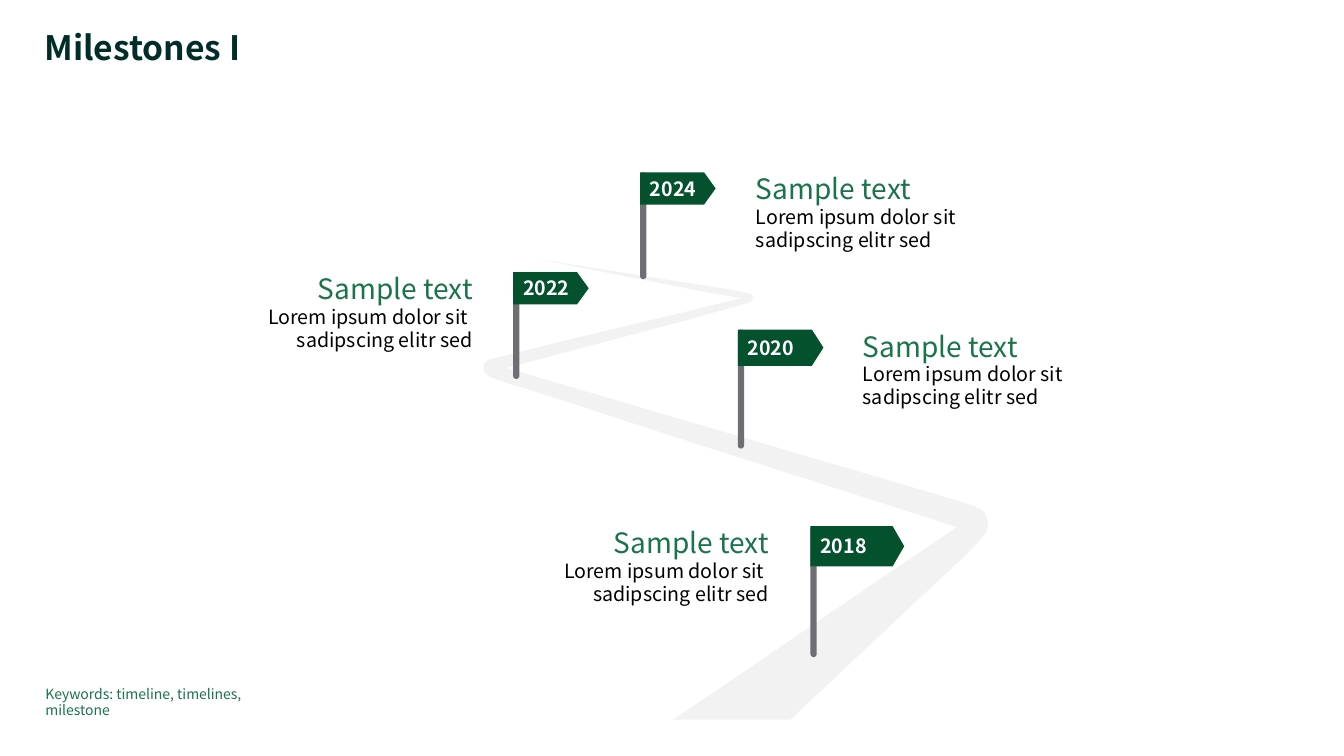
from pptx import Presentation
from pptx.dml.color import RGBColor
from pptx.enum.shapes import MSO_SHAPE
from pptx.enum.text import MSO_ANCHOR, PP_ALIGN
from pptx.util import Pt

FONT = "Noto Sans CJK JP"
INK = RGBColor(0x00, 0x2D, 0x28)
GREEN = RGBColor(0x1A, 0x74, 0x49)
FLAG = RGBColor(0x03, 0x52, 0x2D)
POLE = RGBColor(0x6E, 0x6F, 0x73)
ROAD = RGBColor(0xF2, 0xF2, 0xF2)
BLACK = RGBColor(0x00, 0x00, 0x00)
WHITE = RGBColor(0xFF, 0xFF, 0xFF)

LINE_PITCH = 1.18
POLE_WIDTH = 4.5
FLAG_TIP = 8.3
CAPTION_SIZE = (159, 58.3)

ROAD_OUTLINE = [
    (360.6, 187.2), (358.5, 181.5), (355.6, 178.6), (350.5, 176.4),
    (327.5, 169.2), (138.8, 113.8), (43.1, 85.7), (17.2, 77.8),
    (60.4, 66.3), (147.5, 43.2), (190.7, 31), (192.1, 29.6),
    (192.8, 27.4), (192.1, 25.2), (189.2, 24.5), (186.4, 23.8),
    (175.6, 21.6), (156.8, 18.8), (38.8, 0), (156.1, 23.1),
    (184.2, 28.1), (146, 37.5), (58.2, 58.4), (12.1, 69.9),
    (6.4, 71.3), (3.5, 72), (2, 73.5), (0.6, 75.6), (0.6, 79.2),
    (2, 82.1), (4.2, 83.6), (8.5, 85.7), (17.2, 88.6), (40.9, 95.8),
    (136, 126.8), (323.2, 186.5), (338.3, 191.6), (136, 329.1),
    (219.5, 329.1), (253.3, 297.4), (313.8, 240.5), (346.9, 209.6),
    (354.8, 200.9), (359.2, 195.9), (360.6, 190.8),
]

MILESTONES = [
    ("2020", (527, 235.4, 61.2, 85), 25.9, 616.3, PP_ALIGN.LEFT),
    ("2024", (457.2, 123.1, 54, 76.3), 23, 540, PP_ALIGN.LEFT),
    ("2022", (366.5, 194.4, 54, 76.3), 23, 178.6, PP_ALIGN.RIGHT),
    ("2018", (578.9, 375.8, 67, 93.6), 28.8, 390.2, PP_ALIGN.RIGHT),
]


def style_fill(sp, color):
    """Give a shape a plain fill without line or shadow."""
    sp.shadow.inherit = False
    sp.fill.solid()
    sp.fill.fore_color.rgb = color
    sp.line.fill.background()


def write_lines(p, lines, size, color, bold=False, align=PP_ALIGN.LEFT):
    """Write lines of equally styled text into one paragraph."""
    p.alignment = align
    p.line_spacing = Pt(round(size * LINE_PITCH, 1))
    for i, line in enumerate(lines):
        if i:
            p.add_line_break()
        r = p.add_run()
        r.text = line
        r.font.name = FONT
        r.font.size = Pt(size)
        r.font.bold = bold
        r.font.color.rgb = color


def add_text_frame(slide, box):
    """Add a wrapping text box without margins and return its frame."""
    tf = slide.shapes.add_textbox(*map(Pt, box)).text_frame
    tf.word_wrap = True
    tf.margin_left = tf.margin_top = tf.margin_right = tf.margin_bottom = 0
    return tf


def add_label(slide, box, text, size, color, bold=False):
    """Add a text box with a single paragraph."""
    tf = add_text_frame(slide, box)
    write_lines(tf.paragraphs[0], [text], size, color, bold)


def add_road(slide, left, top):
    """Draw the winding road from its top left corner."""
    points = [(Pt(left + x), Pt(top + y)) for x, y in ROAD_OUTLINE]
    builder = slide.shapes.build_freeform(*points[0])
    builder.add_line_segments(points[1:], close=True)
    style_fill(builder.convert_to_shape(), ROAD)


def add_signpost(slide, box, flag_height, year):
    """Draw a pole with a year flag at its top, filling the box."""
    left, top, width, height = box
    pole = slide.shapes.add_shape(MSO_SHAPE.ROUNDED_RECTANGLE, Pt(left), Pt(top),
                                  Pt(POLE_WIDTH), Pt(height))
    pole.adjustments[0] = 0.5
    style_fill(pole, POLE)
    flag = slide.shapes.add_shape(MSO_SHAPE.PENTAGON, Pt(left), Pt(top),
                                  Pt(width), Pt(flag_height))
    flag.adjustments[0] = FLAG_TIP / flag_height
    style_fill(flag, FLAG)
    tf = flag.text_frame
    tf.vertical_anchor = MSO_ANCHOR.MIDDLE
    write_lines(tf.paragraphs[0], [year], 14, WHITE, True)


def add_caption(slide, box, align):
    """Write a heading and two lines of body text."""
    tf = add_text_frame(slide, box)
    write_lines(tf.paragraphs[0], ["Sample text"], 20, GREEN, align=align)
    body = ["Lorem ipsum dolor sit ", "sadipscing elitr sed"]
    write_lines(tf.add_paragraph(), body, 14, BLACK, align=align)


def add_milestones_slide(prs):
    """Build the milestones slide."""
    slide = prs.slides.add_slide(prs.slide_layouts[6])
    add_label(slide, (31.7, 20, 794, 26.6), "Milestones I", 24, INK, True)
    add_road(slide, 345, 185)
    for year, box, flag_height, caption_left, align in MILESTONES:
        add_signpost(slide, box, flag_height, year)
        add_caption(slide, (caption_left, box[1], *CAPTION_SIZE), align)
    add_label(slide, (32.4, 489.6, 178.6, 24),
              "Keywords: timeline, timelines, milestone", 10, GREEN)


def main():
    """Create and save the presentation."""
    prs = Presentation()
    prs.slide_width, prs.slide_height = Pt(960), Pt(540)
    add_milestones_slide(prs)
    prs.save("out.pptx")


if __name__ == "__main__":
    main()
